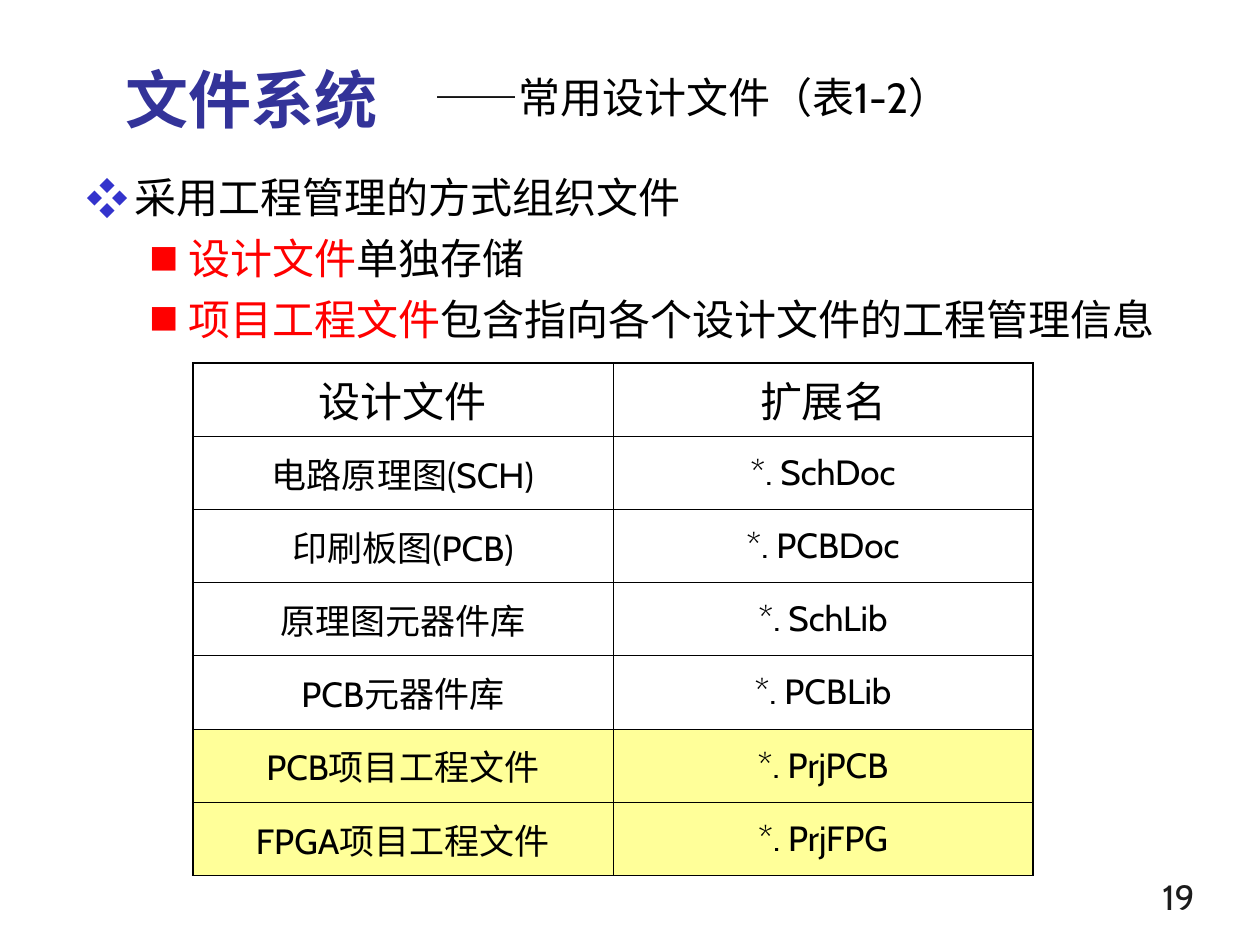
from dataclasses import dataclass

from lxml.etree import SubElement
from pptx import Presentation
from pptx.dml.color import RGBColor
from pptx.enum.text import MSO_ANCHOR as Anchor, PP_ALIGN as Align
from pptx.oxml.ns import qn
from pptx.util import Inches, Pt

COLORS = {
    "title": "333399",
    "text": "000000",
    "accent": "FF0000",
    "diamond": "3333CC",
    "number": "1C1C1C",
    "highlight": "FFFF99",
}
LATIN, EAST_ASIAN = "Cabin", "Noto Sans CJK SC"


@dataclass
class Span:
    text: str
    color: str = "text"
    latin: str = LATIN


@dataclass
class Bullet:
    mark: str
    color: str
    percent: int
    margin: float
    hanging: float


@dataclass
class Line:
    spans: list[Span]
    size: float = 24
    bold: bool = False
    align: Align = Align.LEFT
    space_before: float = 0
    bullet: Bullet | None = None


def set_font(font, color: str, latin: str) -> None:
    font.color.rgb = RGBColor.from_string(COLORS[color])
    font.name = latin
    SubElement(font._element, qn("a:ea"), typeface=EAST_ASIAN)


def add_bullet(para, bullet: Bullet) -> None:
    props = para._p.get_or_add_pPr()
    props.set("marL", str(Inches(bullet.margin)))
    props.set("indent", str(-Inches(bullet.hanging)))
    color = SubElement(props, qn("a:buClr"))
    SubElement(color, qn("a:srgbClr"), val=COLORS[bullet.color])
    SubElement(props, qn("a:buSzPct"), val=str(bullet.percent * 1000))
    SubElement(props, qn("a:buFont"), typeface=EAST_ASIAN)
    SubElement(props, qn("a:buChar"), char=bullet.mark)


def write_line(para, line: Line) -> None:
    para.alignment = line.align
    if line.space_before:
        para.space_before = Pt(line.space_before)
    if line.bullet:
        add_bullet(para, line.bullet)
    para.font.size = Pt(line.size)
    para.font.bold = line.bold
    uniform = len({(span.color, span.latin) for span in line.spans}) == 1
    if uniform:
        set_font(para.font, line.spans[0].color, line.spans[0].latin)
    for span in line.spans:
        run = para.add_run()
        run.text = span.text
        if not uniform:
            set_font(run.font, span.color, span.latin)


def add_text(page, left: float, top: float, width: float, height: float,
             lines: list[Line], anchor: Anchor = Anchor.TOP) -> None:
    box = page.shapes.add_textbox(
        Inches(left), Inches(top), Inches(width), Inches(height))
    frame = box.text_frame
    frame.word_wrap = True
    frame.vertical_anchor = anchor
    for index, line in enumerate(lines):
        para = frame.add_paragraph() if index else frame.paragraphs[0]
        write_line(para, line)


def add_border(cell, side: str, width: float) -> None:
    border = SubElement(cell._tc.get_or_add_tcPr(), qn(f"a:ln{side}"), w=str(Pt(width)))
    fill = SubElement(border, qn("a:solidFill"))
    SubElement(fill, qn("a:srgbClr"), val=COLORS["text"])


def add_file_table(page, rows: list[tuple[str, str]], highlighted: int) -> None:
    last_row, last_column = len(rows) - 1, len(rows[0]) - 1
    frame = page.shapes.add_table(
        len(rows), len(rows[0]), Inches(1.53), Inches(2.88), Inches(6.67), Inches(4.07))
    table = frame.table
    table.first_row = table.horz_banding = False
    for r, row in enumerate(rows):
        for c, text in enumerate(row):
            cell = table.cell(r, c)
            # Thick outer frame, thin inner grid
            outer = {"L": c == 0, "R": c == last_column, "T": r == 0, "B": r == last_row}
            for side, is_outer in outer.items():
                add_border(cell, side, 1.08 if is_outer else 0.45)
            if r > last_row - highlighted:
                cell.fill.solid()
                cell.fill.fore_color.rgb = RGBColor.from_string(COLORS["highlight"])
            else:
                cell.fill.background()
            cell.vertical_anchor = Anchor.MIDDLE
            write_line(cell.text_frame.paragraphs[0],
                       Line([Span(text)], size=20 if r else 24, align=Align.CENTER))


DIAMOND = Bullet("❖", "diamond", 100, 0.38, 0.38)
SQUARE = Bullet("■", "accent", 70, 0.81, 0.31)
FILE_TYPES = [
    ("设计文件", "扩展名"),
    ("电路原理图(SCH)", "*. SchDoc"),
    ("印刷板图(PCB)", "*. PCBDoc"),
    ("原理图元器件库", "*. SchLib"),
    ("PCB元器件库", "*. PCBLib"),
    ("PCB项目工程文件", "*. PrjPCB"),
    ("FPGA项目工程文件", "*. PrjFPG"),
]


def main() -> None:
    deck = Presentation()
    deck.slide_width, deck.slide_height = Inches(10), Inches(7.5)
    page = deck.slides.add_slide(deck.slide_layouts[6])

    # Page number
    add_text(page, 7.5, 6.74, 2.08, 0.59,
             [Line([Span("19", "number")], size=20, align=Align.RIGHT)], Anchor.BOTTOM)

    # Table of file types, project files highlighted
    add_file_table(page, FILE_TYPES, highlighted=2)

    # Title and subtitle
    add_text(page, 0.9, 0.13, 8.52, 1,
             [Line([Span("文件系统", "title")], size=36, bold=True)], Anchor.BOTTOM)
    add_text(page, 3.35, 0.52, 4.96, 0.55,
             [Line([Span("——", latin=EAST_ASIAN), Span("常用设计文件（表1-2）")])])

    # Bulleted points
    add_text(page, 0.59, 1.31, 9.1, 1.57, [
        Line([Span("采用工程管理的方式组织文件")], bullet=DIAMOND),
        Line([Span("设计文件", "accent"), Span("单独存储")],
             space_before=6, bullet=SQUARE),
        Line([Span("项目工程文件", "accent"), Span("包含指向各个设计文件的工程管理信息")],
             space_before=6, bullet=SQUARE),
    ])

    deck.save("out.pptx")


if __name__ == "__main__":
    main()
